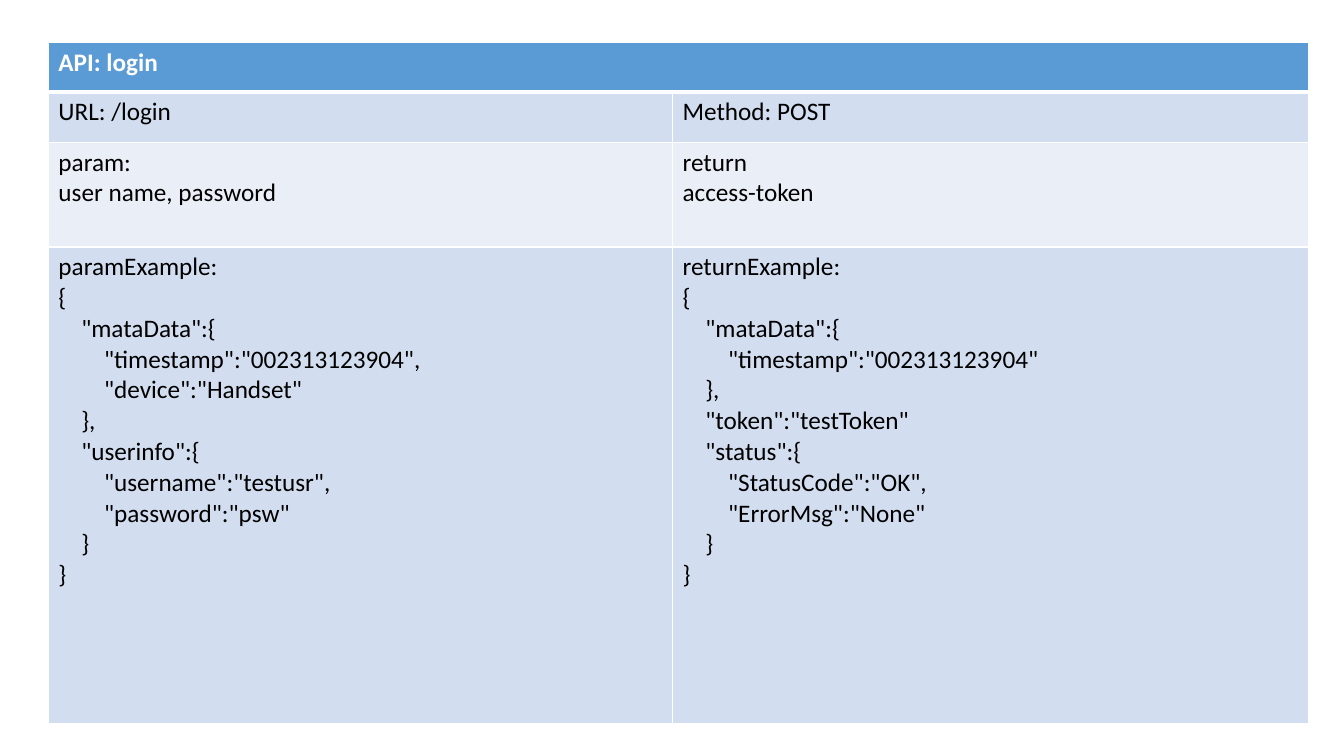
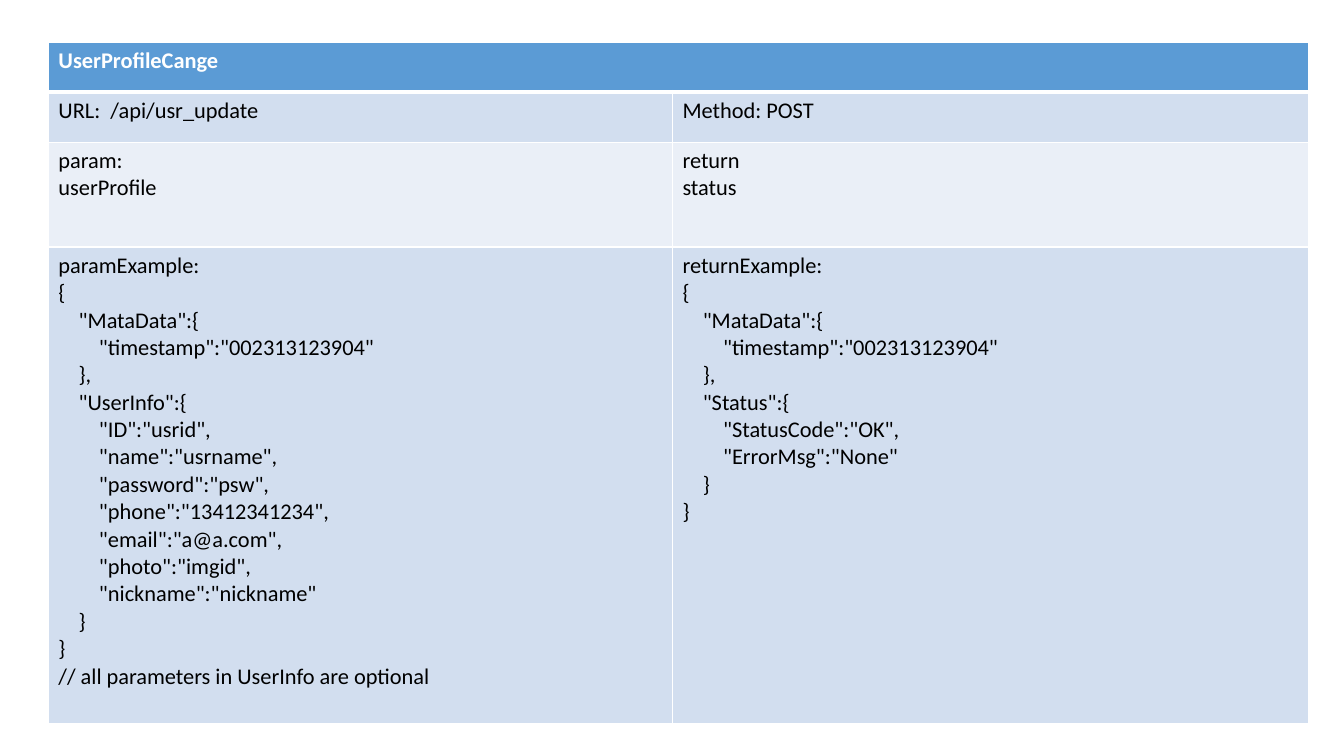
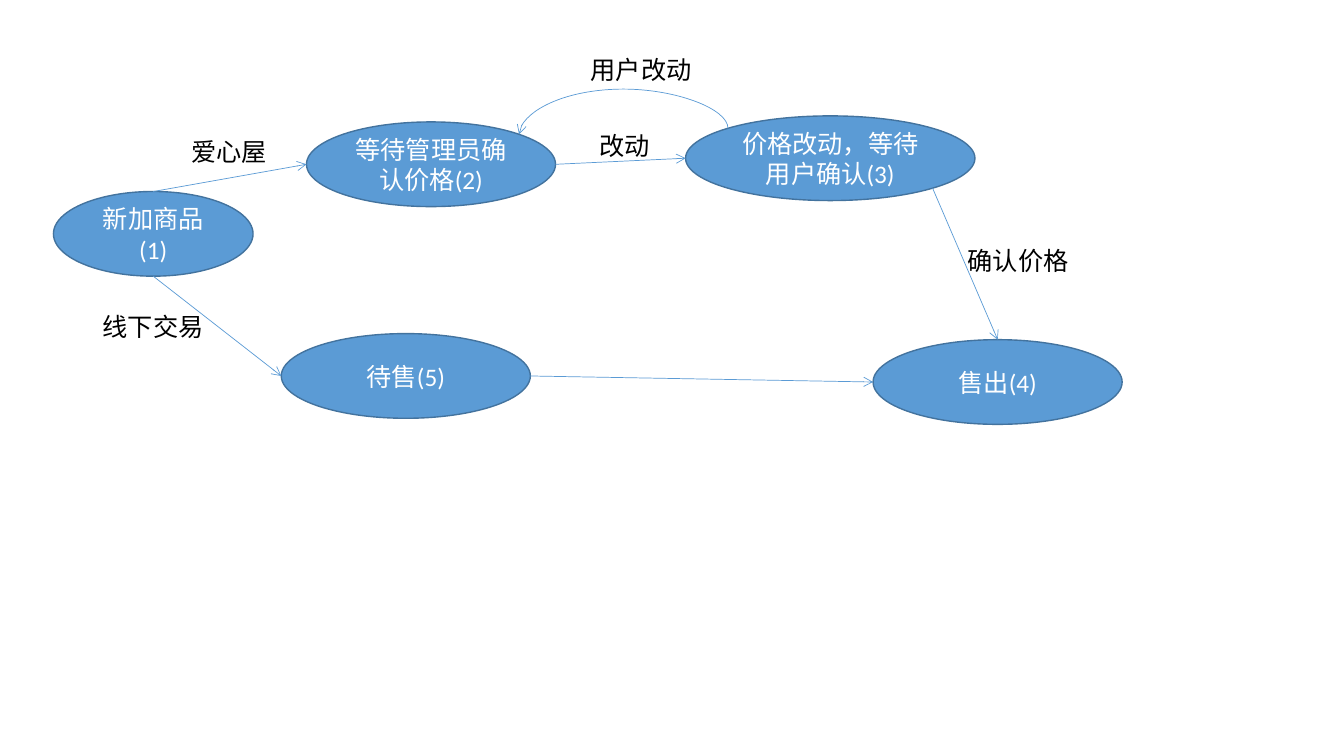
"""Builds two API reference tables and one product state diagram."""
import math

import lxml.etree
import pptx
import pptx.dml.color
import pptx.enum.shapes
import pptx.enum.text
import pptx.oxml.ns
import pptx.util

Inches, Pt, qn = pptx.util.Inches, pptx.util.Pt, pptx.oxml.ns.qn
BLUE, EDGE, WHITE, BLACK = "5B9BD5", "43739E", "FFFFFF", "000000"
BAND_DARK, BAND_LIGHT = "D2DEEF", "EAEFF7"


def rgb(value):
    return pptx.dml.color.RGBColor.from_string(value)


def write(frame, lines, color, size=18, bold=False, align=None):
    font_format = {"name": "Calibri", "size": Pt(size), "bold": bold}
    for number, line in enumerate(lines):
        paragraph = frame.add_paragraph() if number else frame.paragraphs[0]
        paragraph.alignment = align
        content = line.lstrip()
        depth = len(line) - len(content)
        if depth:
            margin = Pt(0.226 * size * depth)
            paragraph._p.get_or_add_pPr().set("marL", str(margin))
        run = paragraph.add_run()
        run.text = content
        for attribute, value in font_format.items():
            setattr(run.font, attribute, value)
        run.font.color.rgb = rgb(color)


deck = pptx.Presentation()
deck.slide_width, deck.slide_height = Inches(13.33), Inches(7.5)
blank = deck.slide_layouts[6]

login_request = """paramExample:
{
    "mataData":{
        "timestamp":"002313123904",
        "device":"Handset"
    },
    "userinfo":{
        "username":"testusr",
        "password":"psw"
    }
}"""
login_response = """returnExample:
{
    "mataData":{
        "timestamp":"002313123904"
    },
    "token":"testToken"
    "status":{
        "StatusCode":"OK",
        "ErrorMsg":"None"
    }
}"""
update_request = """paramExample:
{
    "MataData":{
        "timestamp":"002313123904"
    },
    "UserInfo":{
        "ID":"usrid",
        "name":"usrname",
        "password":"psw",
        "phone":"13412341234",
        "email":"a@a.com",
        "photo":"imgid",
        "nickname":"nickname"
    }
}
// all parameters in UserInfo are optional"""
update_response = """returnExample:
{
    "MataData":{
        "timestamp":"002313123904"
    },
    "Status":{
        "StatusCode":"OK",
        "ErrorMsg":"None"
    }
}"""
endpoints = [
    (18, [["API: login"],
          ["URL: /login", "Method: POST"],
          ["param:\nuser name, password", "return\naccess-token"],
          [login_request, login_response]]),
    (16, [["UserProfileCange"],
          ["URL:  /api/usr_update", "Method: POST"],
          ["param:\nuserProfile", "return\nstatus"],
          [update_request, update_response]]),
]
column_widths = [6.19, 6.31]
row_heights = [0.49, 0.5, 1.04, 4.73]
row_fills = [BLUE, BAND_DARK, BAND_LIGHT, BAND_DARK]

for size, rows in endpoints:
    slide = deck.slides.add_slide(blank)
    table = slide.shapes.add_table(
        len(row_heights), len(column_widths), Inches(0.48), Inches(0.42),
        Inches(sum(column_widths)), Inches(sum(row_heights))).table
    for column, width in zip(table.columns, column_widths):
        column.width = Inches(width)
    for r, height in enumerate(row_heights):
        table.rows[r].height = Inches(height)
        heading = r == 0
        for c in range(len(column_widths)):
            cell = table.cell(r, c)
            properties = cell._tc.get_or_add_tcPr()
            for side in ("lnL", "lnR", "lnT", "lnB"):
                thick = (r, side) in [(0, "lnB"), (1, "lnT")]
                border = lxml.etree.SubElement(
                    properties, qn("a:" + side), w=str(Pt(3 if thick else 1)))
                paint = lxml.etree.SubElement(border, qn("a:solidFill"))
                lxml.etree.SubElement(paint, qn("a:srgbClr"), val=WHITE)
            cell.fill.solid()
            cell.fill.fore_color.rgb = rgb(row_fills[r])
            if c < len(rows[r]):
                write(cell.text_frame, rows[r][c].split("\n"),
                      WHITE if heading else BLACK, size, heading)
    table.cell(0, 0).merge(table.cell(0, 1))

diagram = deck.slides.add_slide(blank).shapes
state_height = 0.84
states = {
    1: ("新加商品(1)", 0.53, 1.9, 1.98),
    2: ("等待管理员确认价格(2)", 3.04, 1.21, 2.47),
    3: ("价格改动，等待用户确认(3)", 6.8, 1.15, 2.87),
    4: ("售出(4)", 8.66, 3.37, 2.47),
    5: ("待售(5)", 2.79, 3.31, 2.47),
}
ovals = {}
for key, (label, left, top, width) in states.items():
    oval = diagram.add_shape(
        pptx.enum.shapes.MSO_SHAPE.OVAL,
        Inches(left), Inches(top), Inches(width), Inches(state_height))
    oval.shadow.inherit = False
    oval.fill.solid()
    oval.fill.fore_color.rgb = rgb(BLUE)
    oval.line.color.rgb = rgb(EDGE)
    oval.line.width = Pt(1)
    oval.text_frame.vertical_anchor = pptx.enum.text.MSO_ANCHOR.MIDDLE
    write(oval.text_frame, [label], WHITE, align=pptx.enum.text.PP_ALIGN.CENTER)
    ovals[key] = oval

TOP, LEFT, BOTTOM, LOWER_RIGHT, RIGHT, UPPER_LEFT, UPPER_RIGHT = 0, 2, 4, 5, 6, 1, 7
kinds = pptx.enum.shapes.MSO_CONNECTOR
transitions = [
    (1, TOP, 2, LEFT, kinds.STRAIGHT),
    (2, RIGHT, 3, LEFT, kinds.STRAIGHT),
    (3, UPPER_LEFT, 2, UPPER_RIGHT, kinds.CURVE),
    (3, LOWER_RIGHT, 4, TOP, kinds.STRAIGHT),
    (1, BOTTOM, 5, LEFT, kinds.STRAIGHT),
    (5, RIGHT, 4, LEFT, kinds.STRAIGHT),
]
for source, source_site, target, target_site, kind in transitions:
    ends = []
    for key, site in ((source, source_site), (target, target_site)):
        label, left, top, width = states[key]
        angle = math.radians(45 * site)
        ends += [Inches(left + width / 2 * (1 - math.sin(angle))),
                 Inches(top + state_height / 2 * (1 - math.cos(angle)))]
    arrow = diagram.add_connector(kind, *ends)
    arrow.line.color.rgb = rgb(BLUE)
    arrow.line.width = Pt(0.5)
    lxml.etree.SubElement(arrow.line._ln, qn("a:tailEnd"), type="arrow")
    geometry = arrow._element.spPr
    lxml.etree.SubElement(geometry, qn("a:effectLst"))
    glue = arrow._element.find(".//" + qn("p:cNvCxnSpPr"))
    for tag, key, site in (("a:stCxn", source, source_site),
                           ("a:endCxn", target, target_site)):
        lxml.etree.SubElement(glue, qn(tag), id=str(ovals[key].shape_id), idx=str(site))
    if kind == kinds.CURVE:
        x1, y1, x2, y2 = ends
        span, drop = x1 - x2, y2 - y1
        arrow.left = (x1 + x2 - drop) // 2
        arrow.top = (y1 + y2 - span) // 2
        arrow.width, arrow.height = drop, span
        for attribute, value in {"rot": "16200000", "flipH": "1", "flipV": "1"}.items():
            geometry.find(qn("a:xfrm")).set(attribute, value)
        bend = round(-100000 * Inches(0.39) / drop)
        lxml.etree.SubElement(geometry.find(".//" + qn("a:avLst")), qn("a:gd"),
                              name="adj1", fmla=f"val {bend}")

captions = [
    ("改动", 5.85, 1.24, 0.7),
    ("爱心屋", 1.8, 1.3, 0.95),
    ("用户改动", 5.76, 0.49, 1.2),
    ("确认价格", 9.5, 2.38, 1.2),
    ("线下交易", 0.92, 3.04, 1.2),
]
for caption, left, top, width in captions:
    frame = diagram.add_textbox(
        Inches(left), Inches(top), Inches(width), Inches(0.4)).text_frame
    frame.word_wrap = False
    frame.auto_size = pptx.enum.text.MSO_AUTO_SIZE.SHAPE_TO_FIT_TEXT
    write(frame, [caption], BLACK)

deck.save("out.pptx")
